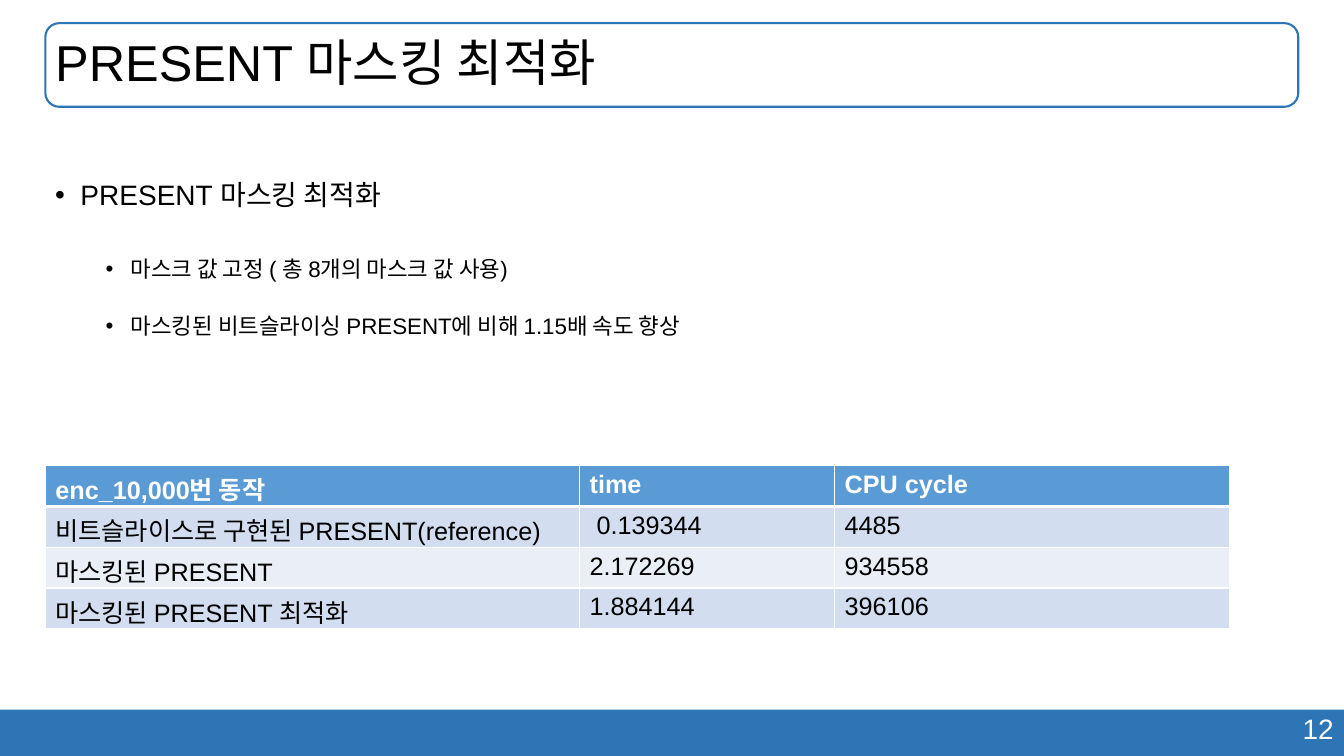
from typing import NamedTuple

import lxml.etree
import pptx
import pptx.dml.color
import pptx.enum.shapes
import pptx.enum.text
import pptx.oxml
import pptx.oxml.ns
import pptx.util

RGB = pptx.dml.color.RGBColor
SHAPE = pptx.enum.shapes.MSO_SHAPE
ALIGN = pptx.enum.text.PP_ALIGN
ANCHOR = pptx.enum.text.MSO_ANCHOR
qn = pptx.oxml.ns.qn

BLUE = RGB(0x2E, 0x75, 0xB6)
HEAD = RGB(0x5B, 0x9B, 0xD5)
BANDS = (RGB(0xD2, 0xDE, 0xEF), RGB(0xEA, 0xEF, 0xF7))
WHITE = RGB(0xFF, 0xFF, 0xFF)
BLACK = RGB(0, 0, 0)
FONT = "Arial"
UNIT = pptx.util.Inches(0.1)  # one grid column or row


class Box(NamedTuple):
    """Place and size in grid columns and rows."""
    left: float
    top: float
    width: float
    height: float

    def emu(self) -> list[int]:
        return [round(side * UNIT) for side in self]


class Point(NamedTuple):
    text: str
    size: int
    indent: float
    before: float


SLIDE = Box(0, 0, 133.33, 75)
TITLE = Box(4.5, 2.3, 124.3, 8.3)
BODY = Box(4.5, 12.6, 124.3, 55.3)
GRID = Box(4.5, 46.2, 117.5, 16.2)
FOOT = Box(0, 70.4, 133.33, 4.6)
PAGE = Box(94.3, 70.1, 39, 4.4)

POINTS = (
    Point("PRESENT 마스킹 최적화", 20, 2.5, 0),
    Point("마스크 값 고정 ( 총 8개의 마스크 값 사용)", 16, 7.5, 33),
    Point("마스킹된 비트슬라이싱 PRESENT에 비해 1.15배 속도 향상", 16, 7.5, 23.5),
)
COLS = (53, 25.3, 39.2)
ROWS = (
    ("enc_10,000번 동작", "time", "CPU cycle"),
    ("비트슬라이스로 구현된 PRESENT(reference)", " 0.139344", "4485"),
    ("마스킹된 PRESENT", "2.172269", "934558"),
    ("마스킹된 PRESENT 최적화", "1.884144", "396106"),
)


def write(par, text: str, size: int, color: RGB = BLACK, bold: bool = False) -> None:
    run = par.add_run()
    run.text = text
    run.font.name = FONT
    run.font.size = pptx.util.Pt(size)
    run.font.color.rgb = color
    run.font.bold = bold


def frame(slide, box: Box):
    """Add a wrapping text box and return its text frame."""
    text = slide.shapes.add_textbox(*box.emu()).text_frame
    text.word_wrap = True
    return text


def panel(slide, kind, box: Box, fill: RGB | None = None, line: RGB | None = None) -> None:
    shape = slide.shapes.add_shape(kind, *box.emu())
    shape.shadow.inherit = False
    if fill is None:
        shape.fill.background()
    else:
        shape.fill.solid()
        shape.fill.fore_color.rgb = fill
    if line is None:
        shape.line.fill.background()
    else:
        shape.line.color.rgb = line
        shape.line.width = pptx.util.Pt(1.5)


def bullet(par, point: Point) -> None:
    props = par._p.get_or_add_pPr()
    props.set("marL", str(round(point.indent * UNIT)))
    props.set("indent", str(round(-2.5 * UNIT)))
    lxml.etree.SubElement(props, qn("a:buFont")).set("typeface", FONT)
    lxml.etree.SubElement(props, qn("a:buChar")).set("char", "•")
    par.line_spacing = 0.9
    par.space_before = pptx.util.Pt(point.before)
    write(par, point.text, point.size)


def border(cell, edge: str, width: float) -> None:
    props = cell._tc.get_or_add_tcPr()
    line = lxml.etree.SubElement(props, qn(f"a:ln{edge}"))
    line.set("w", str(pptx.util.Pt(width)))
    fill = lxml.etree.SubElement(line, qn("a:solidFill"))
    lxml.etree.SubElement(fill, qn("a:srgbClr")).set("val", str(WHITE))


def fill_cell(cell, text: str, row: int) -> None:
    head = row == 0
    for edge in "LRTB":
        thick = (head and edge == "B") or (row == 1 and edge == "T")
        border(cell, edge, 3 if thick else 1)
    cell.fill.solid()
    cell.fill.fore_color.rgb = HEAD if head else BANDS[(row - 1) % 2]
    write(cell.text_frame.paragraphs[0], text, 18, WHITE if head else BLACK, head)


def draw_table(slide) -> None:
    table = slide.shapes.add_table(len(ROWS), len(COLS), *GRID.emu()).table
    for col, width in zip(table.columns, COLS):
        col.width = round(width * UNIT)
    for row, texts in enumerate(ROWS):
        for col, text in enumerate(texts):
            fill_cell(table.cell(row, col), text, row)


def draw_body(slide) -> None:
    text = frame(slide, BODY)
    text.margin_top = round(5.4 * UNIT)
    for num, point in enumerate(POINTS):
        bullet(text.add_paragraph() if num else text.paragraphs[0], point)


def draw_title(slide) -> None:
    panel(slide, SHAPE.ROUNDED_RECTANGLE, TITLE, line=BLUE)
    text = frame(slide, TITLE)
    text.vertical_anchor = ANCHOR.MIDDLE
    par = text.paragraphs[0]
    par.line_spacing = 0.9
    write(par, "PRESENT 마스킹 최적화", 36)


def draw_foot(slide) -> None:
    panel(slide, SHAPE.RECTANGLE, FOOT, fill=BLUE)
    par = frame(slide, PAGE).paragraphs[0]
    par.alignment = ALIGN.RIGHT
    write(par, "12", 20, WHITE)


def main() -> None:
    deck = pptx.Presentation()
    deck.slide_width, deck.slide_height = SLIDE.emu()[2:]
    slide = deck.slides.add_slide(deck.slide_layouts[6])
    draw_foot(slide)
    draw_title(slide)
    draw_body(slide)
    draw_table(slide)
    deck.save("out.pptx")


if __name__ == "__main__":
    main()
